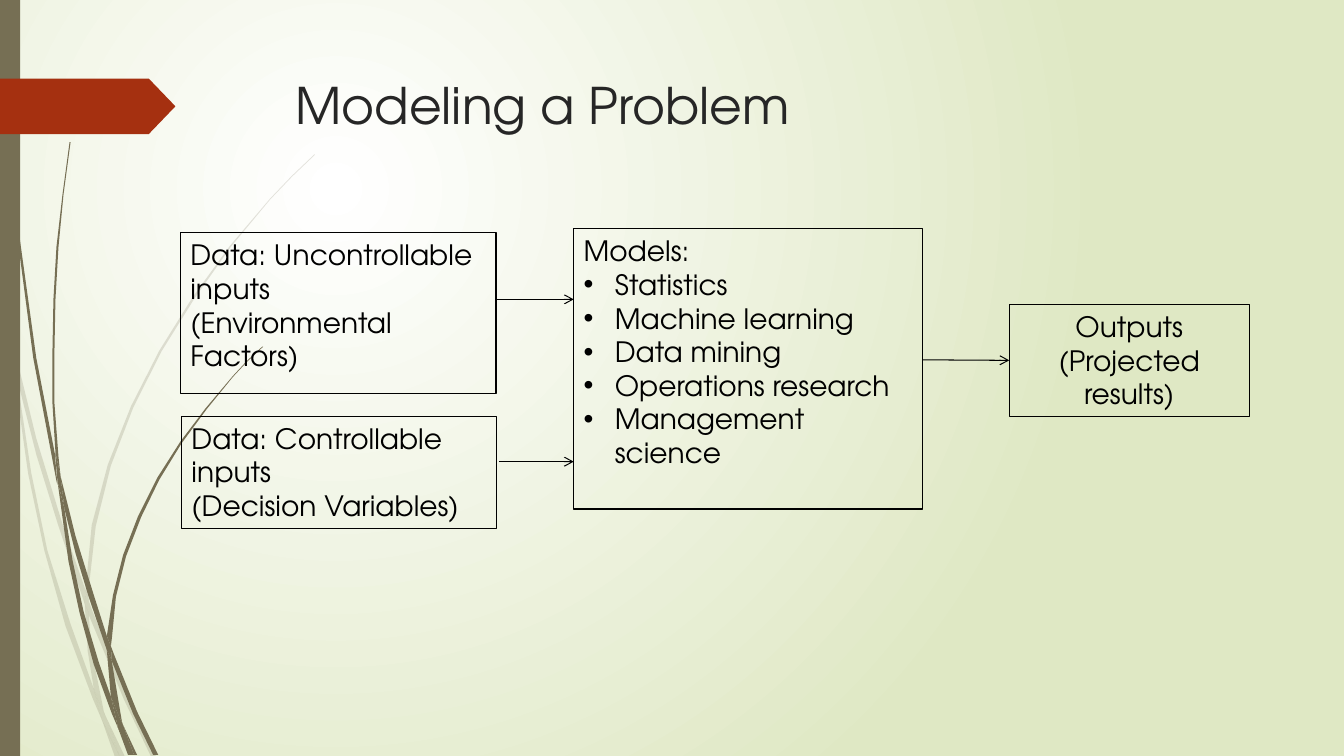
from lxml import etree
from pptx import Presentation
from pptx.dml.color import RGBColor
from pptx.enum.shapes import MSO_CONNECTOR, MSO_SHAPE
from pptx.enum.text import MSO_ANCHOR, PP_ALIGN
from pptx.oxml.ns import qn
from pptx.util import Inches, Pt

RECT, TAG = MSO_SHAPE.RECTANGLE, MSO_SHAPE.PENTAGON
STRAIGHT = MSO_CONNECTOR.STRAIGHT
TOP, LEFT, CENTER = MSO_ANCHOR.TOP, PP_ALIGN.LEFT, PP_ALIGN.CENTER
BLACK = RGBColor(0x00, 0x00, 0x00)
WHITE = RGBColor(0xFF, 0xFF, 0xFF)
INK = RGBColor(0x26, 0x26, 0x26)
LIME = RGBColor(0xDF, 0xE8, 0xC4)
OLIVE = RGBColor(0x76, 0x6F, 0x54)
RUST = RGBColor(0xA5, 0x30, 0x10)
FONT = "TeX Gyre Adventor"
CELL = Inches(1)  # grid of 13.33 columns by 7.5 rows
COLS, ROWS = 13.33, 7.5
FINE = 100  # outline steps per cell

prs = Presentation()
prs.slide_width, prs.slide_height = int(COLS * CELL), int(ROWS * CELL)
slide = prs.slides.add_slide(prs.slide_layouts[6])
shapes = slide.shapes


def write(text, shape, size=20, color=BLACK, align=LEFT, bullets=False):
    """Fill a shape with one paragraph per line; bullets start at line two."""
    frame = shape.text_frame
    frame.word_wrap, frame.vertical_anchor = True, TOP
    frame.text = text
    for i, para in enumerate(frame.paragraphs):
        para.alignment = align
        para.font.name, para.font.size = FONT, Pt(size)
        para.font.color.rgb = color
        if bullets and i:
            props = para._p.get_or_add_pPr()
            props.set("marL", str(Inches(0.31)))
            props.set("indent", str(-Inches(0.31)))
            for mark in (etree.Element(qn("a:buFont"), typeface="Arial"),
                         etree.Element(qn("a:buChar"), char="•")):
                props.insert_element_before(mark, "a:tabLst", "a:defRPr", "a:extLst")


# Background: round gradient centred up left
fill = slide.background.fill
fill.gradient()
for stop, color in zip(fill.gradient_stops, (WHITE, LIME)):
    stop.color.rgb = color
grad = slide._element.find(".//" + qn("a:gradFill"))
grad.remove(grad.find(qn("a:lin")))
ring = etree.SubElement(grad, qn("a:path"), path="circle")
etree.SubElement(ring, qn("a:fillToRect"),
                 l="50000", t="50000", r="100000", b="100000")

# Grass: pieces of the pale and the dark tuft, in hundredths of a cell
pale = [
    [(11, 350), (9, 322), (0, 282), (0, 299), (10, 344)],
    [(58, 522), (84, 599), (85, 586), (62, 520), (36, 435), (14, 345),
     (17, 376), (36, 451)],
    [(92, 607), (88, 596), (88, 610), (123, 694), (150, 751), (155, 751), (127, 692)],
    [(119, 751), (124, 751), (105, 711)],
    [(93, 683), (70, 619), (47, 546), (31, 469), (17, 376), (11, 350), (28, 470),
     (44, 546), (65, 621), (92, 693), (101, 714), (99, 707)],
    [(84, 599), (87, 646), (93, 683), (96, 692), (105, 711), (103, 706), (91, 646),
     (88, 610), (88, 608)],
    [(88, 584), (95, 522), (110, 462), (132, 405), (160, 349), (193, 296), (229, 245),
     (268, 198), (290, 175), (312, 154), (312, 153), (289, 175), (268, 197),
     (228, 244), (191, 295), (158, 348), (130, 403), (107, 461), (91, 521),
     (85, 584), (85, 586), (88, 596)],
    [(101, 714), (114, 751), (119, 751)],
    [(88, 608), (88, 610), (88, 596), (85, 586), (84, 599)],
    [(96, 692), (93, 683), (99, 707), (101, 714), (119, 751), (105, 711)],
]
dark = [
    [(7, 110), (17, 233), (33, 355), (56, 477), (57, 481), (55, 457), (55, 453),
     (36, 355), (19, 232), (8, 109), (5, 48), (4, 0), (3, 0), (4, 48)],
    [(88, 592), (106, 645), (106, 631), (93, 590), (75, 532), (60, 472),
     (64, 505), (75, 549)],
    [(113, 649), (110, 641), (111, 656), (132, 708), (152, 749), (157, 749), (136, 706)],
    [(110, 691), (98, 657), (83, 607), (72, 556), (64, 505), (57, 477), (68, 557),
     (79, 608), (93, 659), (111, 708), (117, 722), (116, 717)],
    [(60, 472), (58, 453), (54, 400), (54, 349), (55, 297), (58, 245), (63, 193),
     (70, 141), (69, 141), (62, 193), (56, 245), (53, 297), (52, 349), (52, 400),
     (55, 449)],
    [(133, 749), (136, 749), (122, 719)],
    [(57, 477), (64, 505), (60, 472), (55, 449), (55, 453)],
    [(111, 633), (115, 592), (125, 552), (140, 513), (158, 476), (180, 440), (205, 406),
     (231, 374), (245, 359), (261, 344), (260, 344), (245, 358), (231, 373), (204, 405),
     (179, 438), (156, 474), (137, 512), (122, 551), (112, 591), (106, 631), (110, 641)],
    [(117, 722), (127, 749), (131, 749)],
    [(106, 645), (110, 691), (116, 706), (122, 719), (121, 716), (111, 656), (109, 651)],
    [(106, 645), (109, 651), (111, 656), (110, 641), (106, 631)],
    [(116, 706), (110, 691), (116, 717), (117, 722), (130, 749), (133, 749), (122, 719)],
]
for tuft, alpha in ((pale, 20), (dark, 100)):
    for first, *rest in tuft:
        pen = shapes.build_freeform(*first, scale=CELL / FINE)
        pen.add_line_segments(rest, close=True)
        blade = pen.convert_to_shape()
        blade.shadow.inherit = False
        blade.fill.solid()
        blade.fill.fore_color.rgb = OLIVE
        blade.line.fill.background()
        if alpha < 100:
            tint = blade._element.spPr.find(".//" + qn("a:srgbClr"))
            etree.SubElement(tint, qn("a:alpha"), val=str(alpha * 1000))

# Side bar and red tag
for kind, y, w, h, color in ((RECT, 0, 0.2, ROWS, OLIVE),
                             (TAG, 0.78, 1.74, 0.55, RUST)):
    band = shapes.add_shape(kind, 0, int(y * CELL), int(w * CELL), int(h * CELL))
    band.shadow.inherit = False
    band.fill.solid()
    band.fill.fore_color.rgb = color
    band.line.fill.background()
band.adjustments[0] = 0.48

# Title
title = shapes.add_textbox(*(int(n * CELL) for n in (2.83, 0.69, 9.75, 1.4)))
write("Modeling a Problem", title, size=36, color=INK)

# Boxes: place, text, format
boxes = [
    ((5.69, 2.27, 3.46, 2.78),
     "Models:\nStatistics\nMachine learning\nData mining\n"
     "Operations research\nManagement science", {"bullets": True}),
    ((1.8, 4.13, 3.12, 1.11),
     "Data: Controllable inputs\n(Decision Variables)", {}),
    ((1.79, 2.31, 3.13, 1.59),
     "Data: Uncontrollable inputs\n(Environmental Factors)", {}),
    ((10.01, 3.02, 2.38, 1.11),
     "Outputs\n(Projected results)", {"align": CENTER}),
]
for place, text, style in boxes:
    box = shapes.add_shape(RECT, *(int(n * CELL) for n in place))
    box.shadow.inherit = False
    box.fill.background()
    box.line.color.rgb, box.line.width = BLACK, Pt(0.75)
    write(text, box, **style)
output = box

# Arrows: start column, end column, row, box joined at the end
for x1, x2, y, goal in ((4.93, 5.69, 2.97, None),
                        (9.15, 10.01, 3.57, output),
                        (4.95, 5.69, 4.58, None)):
    arrow = shapes.add_connector(
        STRAIGHT, *(int(n * CELL) for n in (x1, y, x2, y)))
    if goal:
        arrow.end_connect(goal, 1)
    arrow.line.color.rgb, arrow.line.width = BLACK, Pt(0.75)
    etree.SubElement(arrow.line._get_or_add_ln(), qn("a:tailEnd"), type="arrow")
    etree.SubElement(arrow._element.spPr, qn("a:effectLst"))

prs.save("out.pptx")
